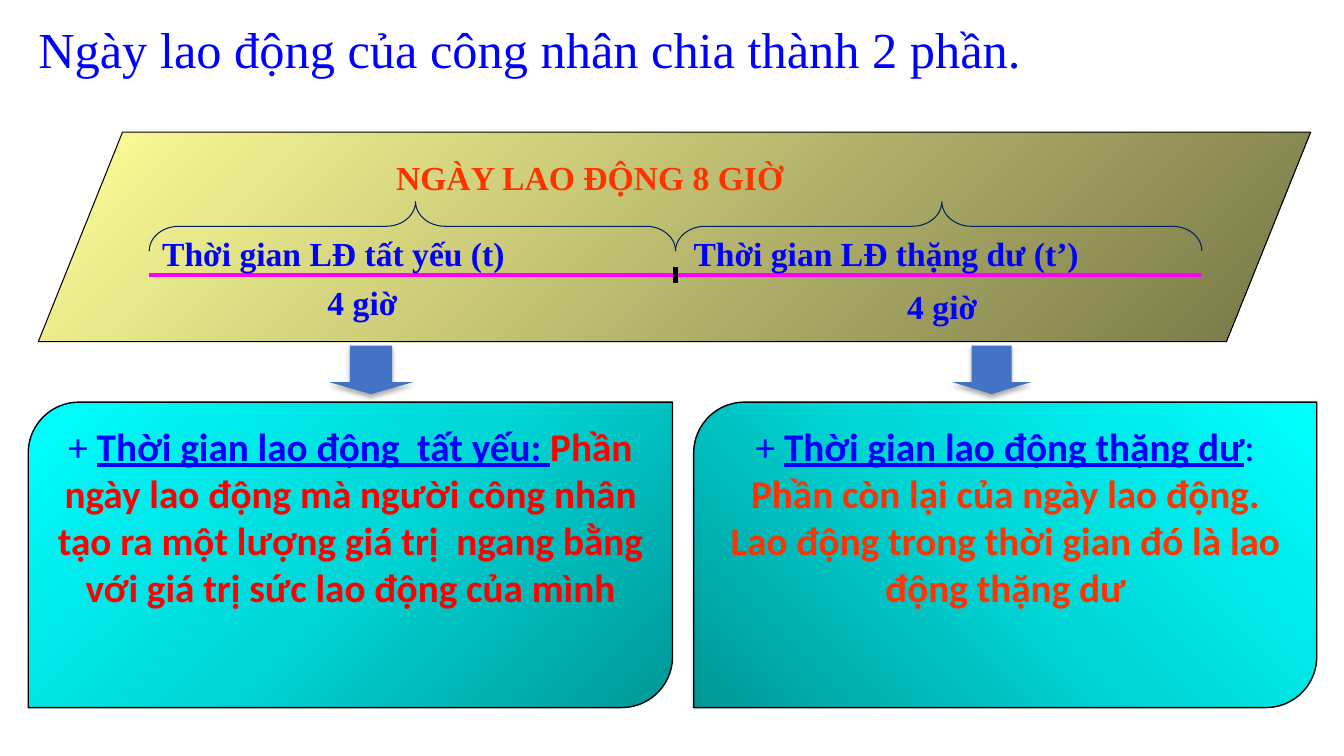
import pptx
import pptx.util
import pptx.dml.color
import pptx.enum.dml
import pptx.enum.shapes
import pptx.enum.text
import pptx.oxml
import pptx.oxml.ns

EMU_PER_PX = 9144
SERIF, SANS = "Times New Roman", "Calibri"
COLOURS = {
    "white": "FFFFFF", "black": "000000", "blue": "0000FF", "navy": "002060",
    "magenta": "FF00FF", "orange": "FF3300", "red": "FF0000", "arrow": "4472C4",
    "straw": "FFFF99", "olive": "767647",
    "deep_teal": "009797", "teal": "00D7D7", "cyan": "00FFFF",
}
CARD_STOPS = [(0, "deep_teal"), (50, "teal"), (100, "cyan")]
SHAPES = pptx.enum.shapes.MSO_SHAPE
ALIGN = pptx.enum.text.PP_ALIGN
ANCHOR = pptx.enum.text.MSO_ANCHOR


def px(*lengths):
    """Turn pixel lengths into EMU."""
    return [pptx.util.Emu(round(length * EMU_PER_PX)) for length in lengths]


def rgb(name):
    """Look up a named colour."""
    return pptx.dml.color.RGBColor.from_string(COLOURS[name])


def add_run(paragraph, text, size, font, colour, bold=False, underline=False):
    """Append one formatted run."""
    run = paragraph.add_run()
    run.text = text
    run.font.size = pptx.util.Pt(size)
    run.font.name = font
    run.font.color.rgb = rgb(colour)
    run.font.bold = bold
    run.font.underline = underline


def add_outline(slide, preset, box, colour=None, width=0.75):
    """Add an unfilled, unshadowed preset shape."""
    shape = slide.shapes.add_shape(preset, *px(*box))
    shape.shadow.inherit = False
    shape.fill.background()
    if colour:
        shape.line.color.rgb = rgb(colour)
        shape.line.width = pptx.util.Pt(width)
    else:
        shape.line.fill.background()
    return shape


def fill_gradient(shape, stops, angle):
    """Fill a shape with a linear gradient, its angle clockwise in degrees."""
    shape.fill.gradient()
    gradient = shape._element.spPr.find(pptx.oxml.ns.qn("a:gradFill"))
    for child in list(gradient):
        gradient.remove(child)
    marks = "".join(
        f'<a:gs pos="{position * 1000}"><a:srgbClr val="{COLOURS[colour]}"/></a:gs>'
        for position, colour in stops)
    namespace = pptx.oxml.ns.nsdecls("a")
    gradient.append(pptx.oxml.parse_xml(f"<a:gsLst {namespace}>{marks}</a:gsLst>"))
    gradient.append(pptx.oxml.parse_xml(
        f'<a:lin {namespace} ang="{angle * 60000}" scaled="1"/>'))


def add_line(slide, start, end, colour):
    """Draw a 3 pt straight line."""
    line = slide.shapes.add_connector(
        pptx.enum.shapes.MSO_CONNECTOR.STRAIGHT, *px(*start, *end))
    line.line.color.rgb = rgb(colour)
    line.line.width = pptx.util.Pt(3)
    line._element.spPr.append(pptx.oxml.parse_xml(
        f"<a:effectLst {pptx.oxml.ns.nsdecls('a')}/>"))


def add_label(slide, left, top, width, text, colour="blue"):
    """Add a bold one-line label."""
    label = slide.shapes.add_textbox(*px(left, top, width, 50))
    label.text_frame.word_wrap = True
    add_run(label.text_frame.paragraphs[0], text, 24, SERIF, colour, bold=True)


def add_brace(slide, left, top, width, height):
    """Add a brace that points up and spans the given box."""
    brace = add_outline(slide, SHAPES.LEFT_BRACE, (
        left + (width - height) / 2, top + (height - width) / 2, height, width), "navy")
    brace.rotation = 90
    brace.adjustments[0] = 0.597
    brace.adjustments[1] = 0.494


def add_title(slide, box, text):
    """Place the slide heading in the title placeholder."""
    title = slide.shapes.title
    title.left, title.top, title.width, title.height = px(*box)
    title.fill.solid()
    title.fill.fore_color.rgb = rgb("white")
    frame = title.text_frame
    frame.word_wrap = True
    frame.auto_size = pptx.enum.text.MSO_AUTO_SIZE.NONE
    frame.vertical_anchor = ANCHOR.MIDDLE
    heading = frame.paragraphs[0]
    heading.alignment = ALIGN.LEFT
    heading.line_spacing = 0.9
    add_run(heading, text, 36, SERIF, "blue")


def add_working_day(slide, box):
    """Draw the band that splits the working day into two halves."""
    left, top, width, height = box
    band = add_outline(slide, SHAPES.PARALLELOGRAM, box, "black")
    band.adjustments[0] = 0.402
    fill_gradient(band, [(0, "straw"), (100, "olive")], 45)
    day_left, axis, half = left + 110, top + 142, 522
    middle = day_left + half
    add_line(slide, (day_left, axis), (middle + half, axis), "magenta")
    add_line(slide, (middle, axis - 8), (middle, axis + 8), "black")
    add_label(slide, left + 345, top + 20, 605, "NGÀY LAO ĐỘNG 8 GIỜ", "orange")
    halves = [
        (day_left, "Thời gian LĐ tất yếu (t)", 3, 533, 167, 144),
        (middle, "Thời gian LĐ thặng dư (t’)", 8, 565, 220, 148),
    ]
    for start, name, name_inset, name_width, hours_inset, hours_top in halves:
        add_brace(slide, start, top + 69, half, 49)
        add_label(slide, start + name_inset, top + 95, name_width, name)
        add_label(slide, start + hours_inset, top + hours_top, 100, "4 giờ")


def add_definition(slide, box, arrow_inset, arrow_width, angle, runs):
    """Draw a definition card and the arrow that leads down to it."""
    left, top, width, height = box
    arrow = add_outline(slide, SHAPES.DOWN_ARROW,
                        (left + arrow_inset, top - 56, arrow_width, 48))
    arrow.fill.solid()
    arrow.fill.fore_color.rgb = rgb("arrow")
    arrow.adjustments[0] = 0.5
    arrow.adjustments[1] = 0.25
    effects = arrow._element.spPr.find(pptx.oxml.ns.qn("a:effectLst"))
    effects.append(pptx.oxml.parse_xml(
        f'<a:outerShdw {pptx.oxml.ns.nsdecls("a")} blurRad="44450" dist="27940" '
        f'dir="5400000" algn="ctr"><a:srgbClr val="{COLOURS["black"]}">'
        '<a:alpha val="32000"/></a:srgbClr></a:outerShdw>'))

    card = add_outline(slide, SHAPES.ROUND_2_DIAG_RECTANGLE, box, "black", 1)
    fill_gradient(card, CARD_STOPS, angle)
    card.text_frame.word_wrap = True
    card.text_frame.vertical_anchor = ANCHOR.TOP
    definition = card.text_frame.paragraphs[0]
    definition.alignment = ALIGN.CENTER
    for text, colour, bold, underline in runs:
        add_run(definition, text, 28, SANS, colour, bold, underline)


def main():
    """Build and save the slide."""
    deck = pptx.Presentation()
    deck.slide_width, deck.slide_height = px(1333, 750)
    slide = deck.slides.add_slide(deck.slide_layouts[5])
    add_title(slide, (28, 0, 1267, 103), "Ngày lao động của công nhân chia thành 2 phần.")
    add_working_day(slide, (38, 131, 1262, 208))
    add_definition(slide, (28, 399, 639, 303), 298, 84, 225, [
        ("+ ", "blue", False, False),
        ("Thời gian lao động  tất yếu: ", "blue", True, True),
        ("Phần ngày lao động mà người công nhân tạo ra một lượng giá trị  "
         "ngang bằng với giá trị sức lao động của mình", "red", True, False),
    ])
    add_definition(slide, (688, 399, 618, 303), 256, 79, 315, [
        ("+ ", "blue", False, False),
        ("Thời gian lao động thặng dư", "blue", True, True),
        (": ", "blue", False, False),
        ("Phần còn lại của ngày lao động. Lao động trong thời gian đó là "
         "lao động thặng dư", "orange", True, False),
    ])
    deck.save("out.pptx")


if __name__ == "__main__":
    main()
